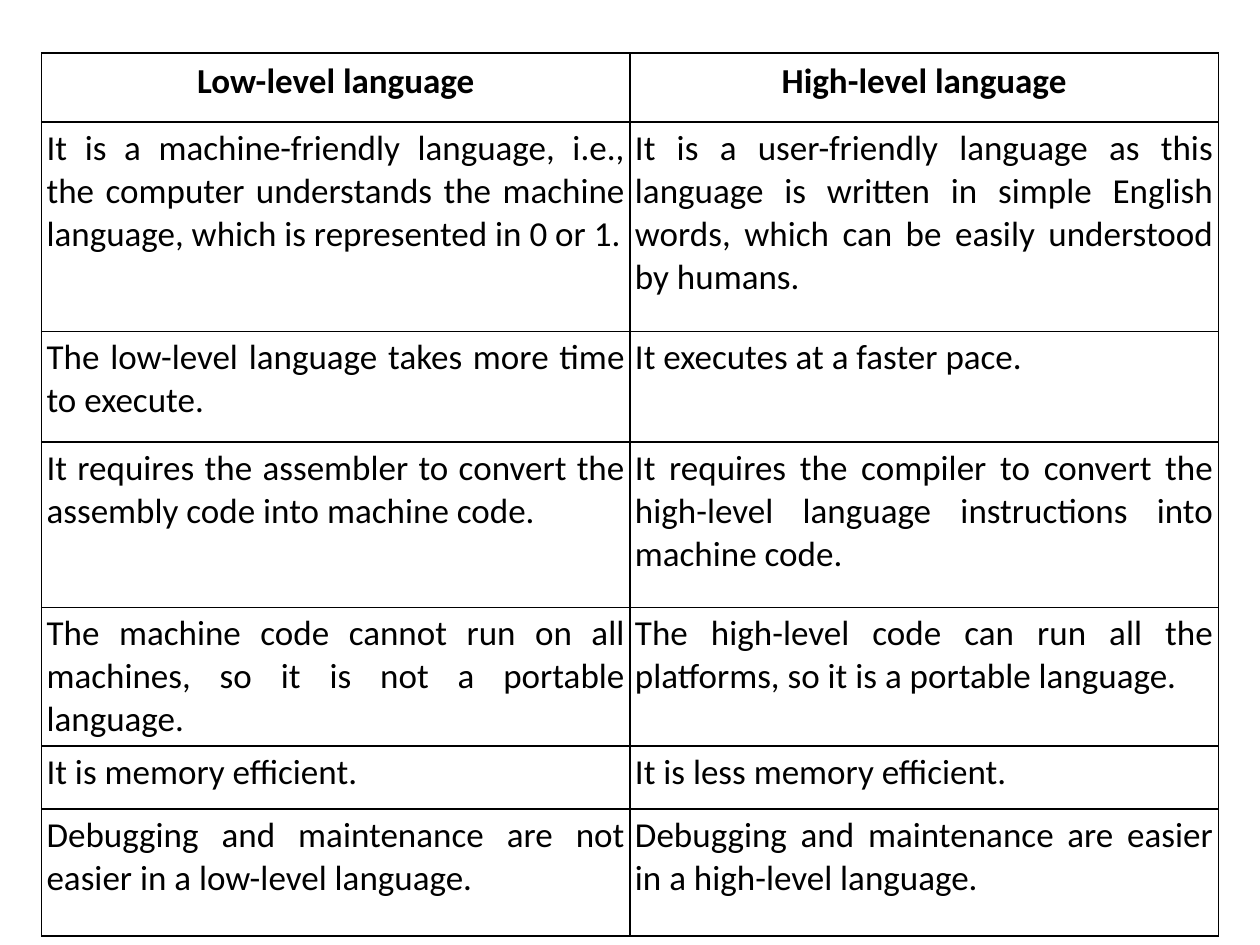
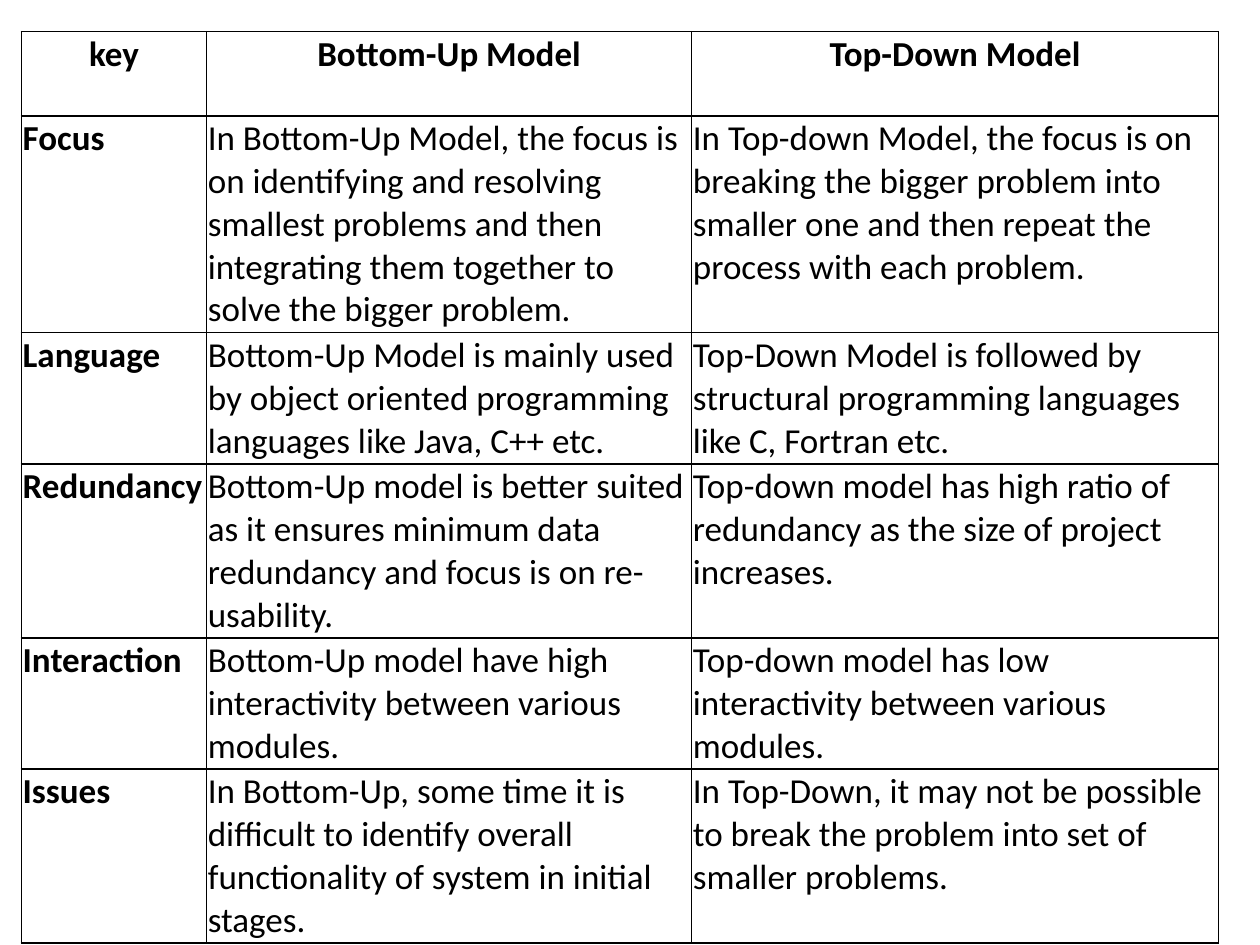
from dataclasses import dataclass

from lxml.etree import SubElement
from pptx import Presentation
from pptx.dml.color import RGBColor
from pptx.enum.text import MSO_ANCHOR as Anchor, PP_ALIGN as Align
from pptx.oxml.ns import qn
from pptx.util import Inches, Pt

BLACK, WHITE = "000000", "FFFFFF"
FONT = {"name": "Calibri", "size": Pt(20)}
BORDER_WIDTH = Pt(1)
BLANK_LAYOUT = 6


@dataclass(frozen=True)
class Comparison:
    left: float
    top: float
    columns: tuple[float, ...]
    rows: tuple[float, ...]
    header_margin: float
    body_margin: float
    body_align: Align
    bold_key_column: bool
    texts: tuple[tuple[str, ...], ...]


LANGUAGE_LEVELS = Comparison(
    left=0.33, top=0.42,
    columns=(4.67, 4.67),
    rows=(0.55, 1.66, 0.88, 1.31, 1.01, 0.5, 1.01),
    header_margin=0.06, body_margin=0.04,
    body_align=Align.JUSTIFY, bold_key_column=False,
    texts=(
        ("Low-level language", "High-level language"),
        ("It is a machine-friendly language, i.e., the computer understands "
         "the machine language, which is represented in 0 or 1.",
         "It is a user-friendly language as this language is written in "
         "simple English words, which can be easily understood by humans."),
        ("The low-level language takes more time to execute.",
         "It executes at a faster pace."),
        ("It requires the assembler to convert the assembly code into machine code.",
         "It requires the compiler to convert the high-level language "
         "instructions into machine code."),
        ("The machine code cannot run on all machines, so it is not a portable language.",
         "The high-level code can run all the platforms, so it is a portable language."),
        ("It is memory efficient.", "It is less memory efficient."),
        ("Debugging and maintenance are not easier in a low-level language.",
         "Debugging and maintenance are easier in a high-level language."),
    ),
)

DESIGN_MODELS = Comparison(
    left=0.17, top=0.25,
    columns=(1.47, 3.85, 4.18),
    rows=(0.67, 1.64, 0.99, 1.31, 0.99, 1.31),
    header_margin=0.01, body_margin=0.01,
    body_align=Align.LEFT, bold_key_column=True,
    texts=(
        ("key", "Bottom-Up Model", "Top-Down Model"),
        ("Focus",
         "In Bottom-Up Model, the focus is on identifying and resolving smallest "
         "problems and then integrating them together to solve the bigger problem.",
         "In Top-down Model, the focus is on breaking the bigger problem into "
         "smaller one and then repeat the process with each problem."),
        ("Language",
         "Bottom-Up Model is mainly used by object oriented programming "
         "languages like Java, C++ etc.",
         "Top-Down Model is followed by structural programming languages "
         "like C, Fortran etc."),
        ("Redundancy",
         "Bottom-Up model is better suited as it ensures minimum data "
         "redundancy and focus is on re-usability.",
         "Top-down model has high ratio of redundancy as the size of project increases."),
        ("Interaction",
         "Bottom-Up model have high interactivity between various modules.",
         "Top-down model has low interactivity between various modules."),
        ("Issues",
         "In Bottom-Up, some time it is difficult to identify overall "
         "functionality of system in initial stages.",
         "In Top-Down, it may not be possible to break the problem into set "
         "of smaller problems."),
    ),
)


def color(value: str) -> RGBColor:
    return RGBColor.from_string(value)


def set_all(target, values: dict) -> None:
    for name, value in values.items():
        setattr(target, name, value)


def add_borders(cell) -> None:
    """Outline the cell; borders must come before its fill in the XML."""
    properties = cell._tc.get_or_add_tcPr()
    for side in ("lnL", "lnR", "lnT", "lnB"):
        line = SubElement(properties, qn(f"a:{side}"), w=str(BORDER_WIDTH))
        fill = SubElement(line, qn("a:solidFill"))
        SubElement(fill, qn("a:srgbClr"), val=BLACK)


def write_cell(cell, text: str, margin: float, align: Align, bold: bool) -> None:
    sides = ("margin_left", "margin_right", "margin_top", "margin_bottom")
    set_all(cell, {side: Inches(margin) for side in sides})
    cell.vertical_anchor = Anchor.TOP
    add_borders(cell)
    cell.fill.solid()
    cell.fill.fore_color.rgb = color(WHITE)
    paragraph = cell.text_frame.paragraphs[0]
    paragraph.alignment = align
    run = paragraph.add_run()
    run.text = text
    set_all(run.font, FONT | {"bold": bold})
    run.font.color.rgb = color(BLACK)


def add_comparison(presentation, comparison: Comparison) -> None:
    slide = presentation.slides.add_slide(presentation.slide_layouts[BLANK_LAYOUT])
    columns, rows = comparison.columns, comparison.rows
    box = (comparison.left, comparison.top, sum(columns), sum(rows))
    table = slide.shapes.add_table(len(rows), len(columns), *map(Inches, box)).table
    set_all(table, {"first_row": False, "horz_banding": False})
    for column, width in zip(table.columns, columns):
        column.width = Inches(width)
    for row, height in zip(table.rows, rows):
        row.height = Inches(height)
    for row_index, row_texts in enumerate(comparison.texts):
        header = row_index == 0
        margin = comparison.header_margin if header else comparison.body_margin
        align = Align.CENTER if header else comparison.body_align
        for column_index, text in enumerate(row_texts):
            bold = header or (comparison.bold_key_column and column_index == 0)
            write_cell(table.cell(row_index, column_index), text, margin, align, bold)


def main() -> None:
    presentation = Presentation()
    set_all(presentation, {"slide_width": Inches(10), "slide_height": Inches(7.5)})
    for comparison in (LANGUAGE_LEVELS, DESIGN_MODELS):
        add_comparison(presentation, comparison)
    presentation.save("out.pptx")


if __name__ == "__main__":
    main()
